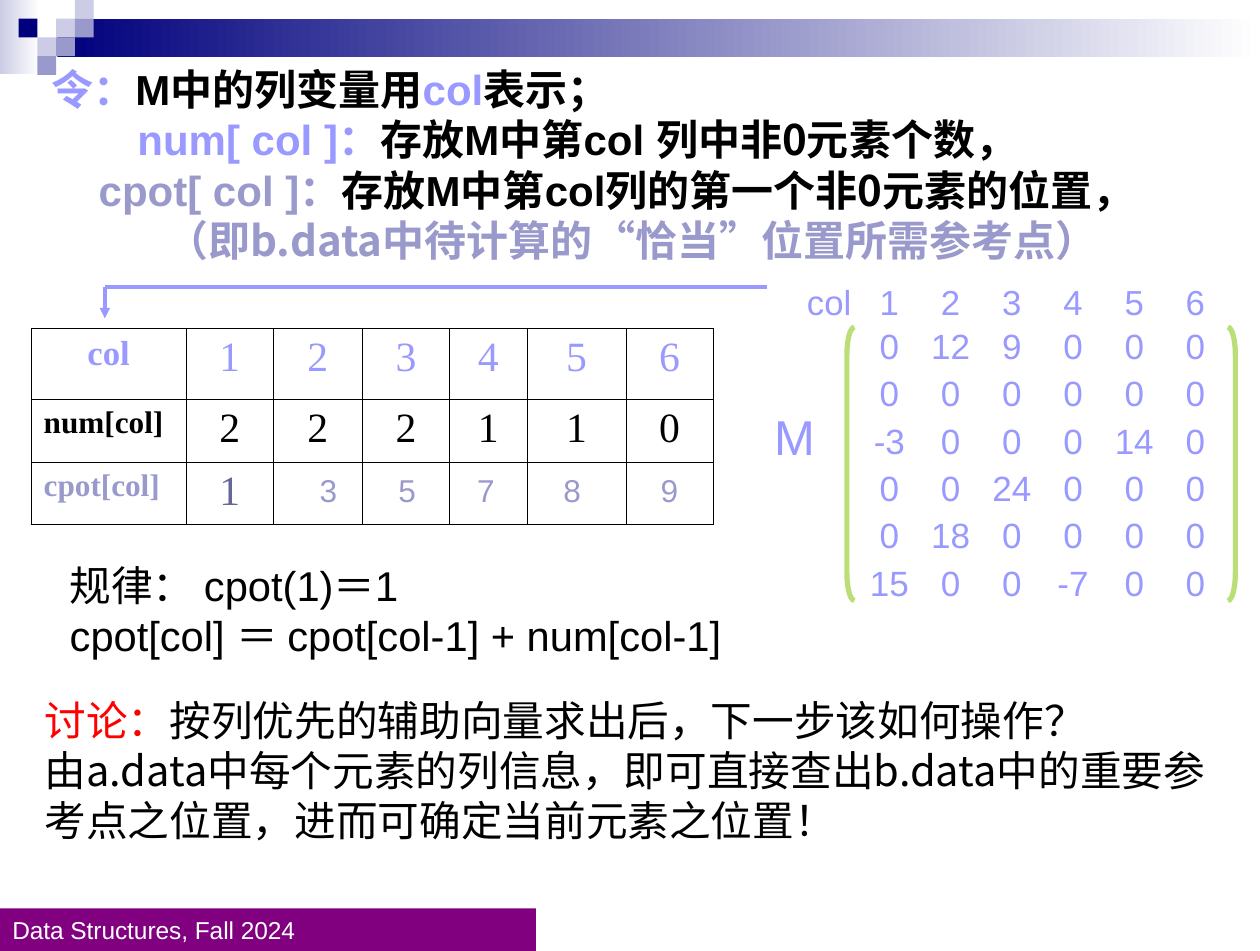
from lxml.etree import SubElement
from pptx import Presentation
from pptx.dml.color import RGBColor
from pptx.enum.shapes import MSO_CONNECTOR, MSO_SHAPE
from pptx.enum.text import MSO_ANCHOR, PP_ALIGN
from pptx.oxml.ns import qn
from pptx.util import Inches, Pt

WIDE, HIGH = Pt(726.25), Pt(548.38)
LILAC, MAUVE, PALE, NAVY = "9999FF", "9999CC", "CCCCE6", "00007D"
BLACK, WHITE = "000000", "FFFFFF"
LATIN, HAN, SERIF = "Arial", "Noto Sans CJK SC", "Times New Roman"


def paint(hue):
    return RGBColor.from_string(hue)


def style(para, size, hue, face=LATIN, bold=False):
    font = para.font
    font.size, font.name, font.bold = Pt(size), face, bold
    font.color.rgb = paint(hue)
    SubElement(font._element, qn("a:ea"), typeface=HAN)


def write(frame, lines, size, bold=False, pitch=None):
    """Each line is a left indent and a list of runs: text, colour, optional font."""
    for i, (indent, runs) in enumerate(lines):
        para = frame.paragraphs[0] if i == 0 else frame.add_paragraph()
        para.alignment = PP_ALIGN.LEFT
        para.space_before = Pt(0)
        if pitch:
            para.line_spacing = Pt(pitch)
        if indent:
            para._p.get_or_add_pPr().set("marL", str(Inches(indent)))
        style(para, size, runs[0][1], bold=bold)
        for text, hue, *face in runs:
            run = para.add_run()
            run.text = text
            run.font.color.rgb = paint(hue)
            if face:
                run.font.name = face[0]


def textbox(slide, box, inset=True):
    frame = slide.shapes.add_textbox(*map(Inches, box)).text_frame
    frame.word_wrap = True
    if not inset:
        frame.margin_left = frame.margin_right = 0
        frame.margin_top = frame.margin_bottom = 0
        frame.vertical_anchor = MSO_ANCHOR.MIDDLE
    return frame


def tabbed(slide, box, text, stops, size, hue):
    """One line of text whose tabs centre each value on a stop."""
    para = textbox(slide, box, False).paragraphs[0]
    tabs = SubElement(para._p.get_or_add_pPr(), qn("a:tabLst"))
    for stop in stops:
        SubElement(tabs, qn("a:tab"), pos=str(Inches(stop - box[0])), algn="ctr")
    para.text = text
    style(para, size, hue)


def block(slide, box, hue, fade=False):
    shape = slide.shapes.add_shape(MSO_SHAPE.RECTANGLE, *map(Inches, box))
    shape.shadow.inherit = False
    shape.line.fill.background()
    if fade:
        shape.fill.gradient()
        shape.fill.gradient_angle = 0
        for stop, tone in zip(shape.fill.gradient_stops, (hue, WHITE)):
            stop.color.rgb = paint(tone)
    else:
        shape.fill.solid()
        shape.fill.fore_color.rgb = paint(hue)
    return shape


def banner(slide, unit=0.15):
    block(slide, (0, 0, 0.32, 0.59), PALE, True)
    block(slide, (0.46, unit, WIDE.inches - 0.46, 0.31), NAVY, True)
    tiles = [(3, 1, PALE), (4, 0, PALE), (4, 1, MAUVE), (2, 2, PALE),
             (1, 1, NAVY), (3, 2, MAUVE), (2, 3, MAUVE)]
    for col, row, hue in tiles:
        block(slide, (col * unit, row * unit, unit, unit), hue)


def footer(slide, box):
    frame = block(slide, box, "800080").text_frame
    frame.vertical_anchor = MSO_ANCHOR.MIDDLE
    write(frame, [(0, [("Data Structures, Fall 2024", WHITE)])], 14.1)


def heading(slide, box):
    title = slide.shapes.title
    title.left, title.top, title.width, title.height = map(Inches, box)
    frame = title.text_frame
    frame.word_wrap = True
    frame.vertical_anchor = MSO_ANCHOR.MIDDLE
    write(frame, [
        (0, [("令：", LILAC), ("M中的列变量用", BLACK), ("col", LILAC), ("表示；", BLACK)]),
        (0.69, [("num[ col ]：", LILAC), ("存放M中第col ", BLACK),
                ("列中非0元素个数，", BLACK, HAN)]),
        (0.38, [("cpot[ col ]：", MAUVE), ("存放M中第col", BLACK),
                ("列的第一个非0元素的位置，", BLACK, HAN)]),
        (0.92, [("（即b.data中待计算的", MAUVE, HAN), ("“恰当”", MAUVE),
                ("位置所需参考点）", MAUVE, HAN)]),
    ], 24.2, True, 29)


def edge(cell):
    props = cell._tc.get_or_add_tcPr()
    for side in ("lnL", "lnR", "lnT", "lnB"):
        line = SubElement(props, qn("a:" + side), w=str(Pt(0.25)))
        SubElement(SubElement(line, qn("a:solidFill")), qn("a:srgbClr"), val=BLACK)


def vectors(slide, box):
    """Table of the column vectors, with the later cpot values laid over it."""
    left, top = box[:2]
    widths = [1.24, 0.7, 0.71, 0.7, 0.62, 0.79, 0.7]
    heights = [0.57, 0.5, 0.5]
    rows = [("col", "123456", 20, LILAC, LILAC),
            ("num[col]", "222110", 18, BLACK, BLACK),
            ("cpot[col]", "1", 18, MAUVE, "666699")]
    table = slide.shapes.add_table(3, 7, *map(Inches, box)).table
    table.first_row = table.horz_banding = False
    for col, width in zip(table.columns, widths):
        col.width = Inches(width)
    for r, (name, digits, size, label, hue) in enumerate(rows):
        table.rows[r].height = Inches(heights[r])
        for c, text in enumerate([name, *digits.ljust(6)]):
            cell = table.cell(r, c)
            edge(cell)
            cell.fill.background()
            if not text.strip():
                continue
            para = cell.text_frame.paragraphs[0]
            para.text = text
            para.alignment = PP_ALIGN.LEFT if r and not c else PP_ALIGN.CENTER
            if c:
                style(para, 24, hue, SERIF)
            else:
                style(para, size, label, SERIF, True)
    tabbed(slide, (left + 1.94, top + 1.09, 3.53, 0.41), "\t3\t5\t7\t8\t9",
           [left + x for x in (2.38, 3.01, 3.64, 4.33, 5.11)], 18.2, MAUVE)


def matrix(slide, box):
    left, top, width, height = box
    stops = [left + 0.34 + 0.49 * i for i in range(6)]
    sides = [(MSO_SHAPE.LEFT_BRACKET, left), (MSO_SHAPE.RIGHT_BRACKET, left + width - 0.06)]
    for kind, x in sides:
        side = slide.shapes.add_shape(kind, *map(Inches, (x, top, 0.06, height)))
        side.shadow.inherit = False
        side.adjustments[0] = 3.75
        side.fill.background()
        side.line.color.rgb = paint("BADE78")
        side.line.width = Pt(3)
    rows = ["0 12 9 0 0 0", "0 0 0 0 0 0", "-3 0 0 0 14 0",
            "0 0 24 0 0 0", "0 18 0 0 0 0", "15 0 0 -7 0 0"]
    for i, row in enumerate(rows):
        tabbed(slide, (left + 0.08, top + 0.01 + 0.38 * i, 2.95, 0.27),
               "\t" + row.replace(" ", "\t"), stops, 20.2, LILAC)
    tabbed(slide, (left - 0.32, top - 0.37, 3.6, 0.33),
           "col\t1\t2\t3\t4\t5\t6", stops, 20, LILAC)
    write(textbox(slide, (left - 0.68, top + 0.59, 0.54, 0.58)),
          [(0, [("M", LILAC)])], 28.2)


def pointer(slide, start, bend, end):
    for a, b in ((start, bend), (bend, end)):
        line = slide.shapes.add_connector(MSO_CONNECTOR.STRAIGHT, *map(Inches, a + b))
        line.line.color.rgb = paint(LILAC)
        line.line.width = Pt(2)
        SubElement(line._element.spPr, qn("a:effectLst"))
    SubElement(line.line._get_or_add_ln(), qn("a:tailEnd"), type="triangle")


def main():
    deck = Presentation()
    deck.slide_width, deck.slide_height = WIDE, HIGH
    slide = deck.slides.add_slide(deck.slide_layouts[5])
    banner(slide)
    footer(slide, (0, HIGH.inches - 0.34, 4.29, 0.34))
    heading(slide, (0.31, 0.56, 9.77, 1.51))
    write(textbox(slide, (0.26, 5.51, 9.64, 1.31)), [
        (0, [("讨论：", "FF0000"), ("按列优先的辅助向量求出后，下一步该如何操作？", BLACK)]),
        (0, [("由a.data中每个元素的列信息，即可直接查出b.data中的重要参考点之位置，"
              "进而可确定当前元素之位置！", BLACK, HAN)]),
    ], 24, pitch=29)
    vectors(slide, (0.25, 2.63, 5.46, 1.57))
    write(textbox(slide, (0.46, 4.43, 5.6, 0.91)), [
        (0, [("规律： cpot(1)＝1", BLACK)]),
        (0, [("cpot[col] ＝ cpot[col-1] + num[col-1]", BLACK)]),
    ], 24, pitch=29)
    matrix(slide, (6.78, 2.62, 3.11, 2.19))
    pointer(slide, (6.14, 2.3), (0.84, 2.3), (0.84, 2.55))
    deck.save("out.pptx")


if __name__ == "__main__":
    main()
